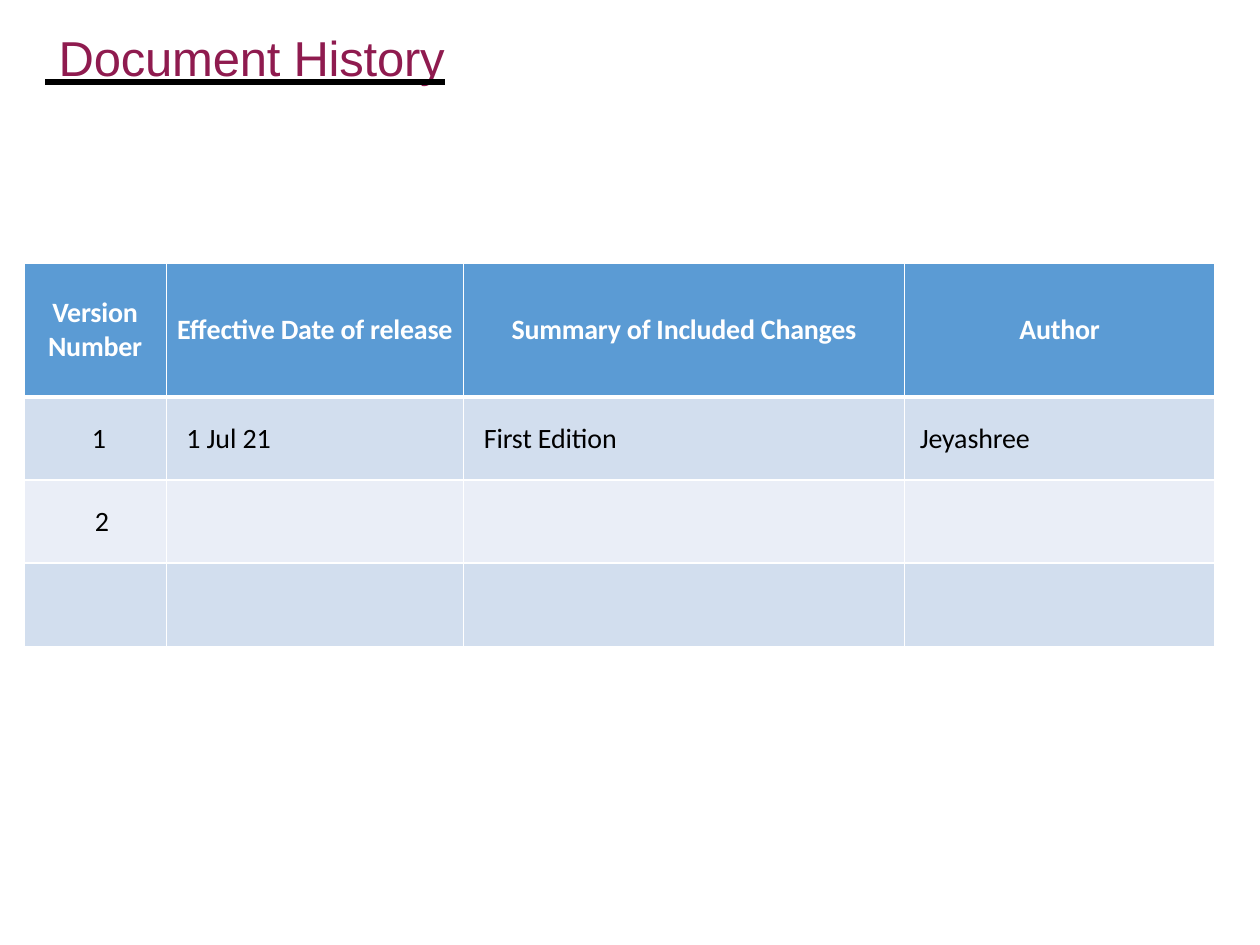
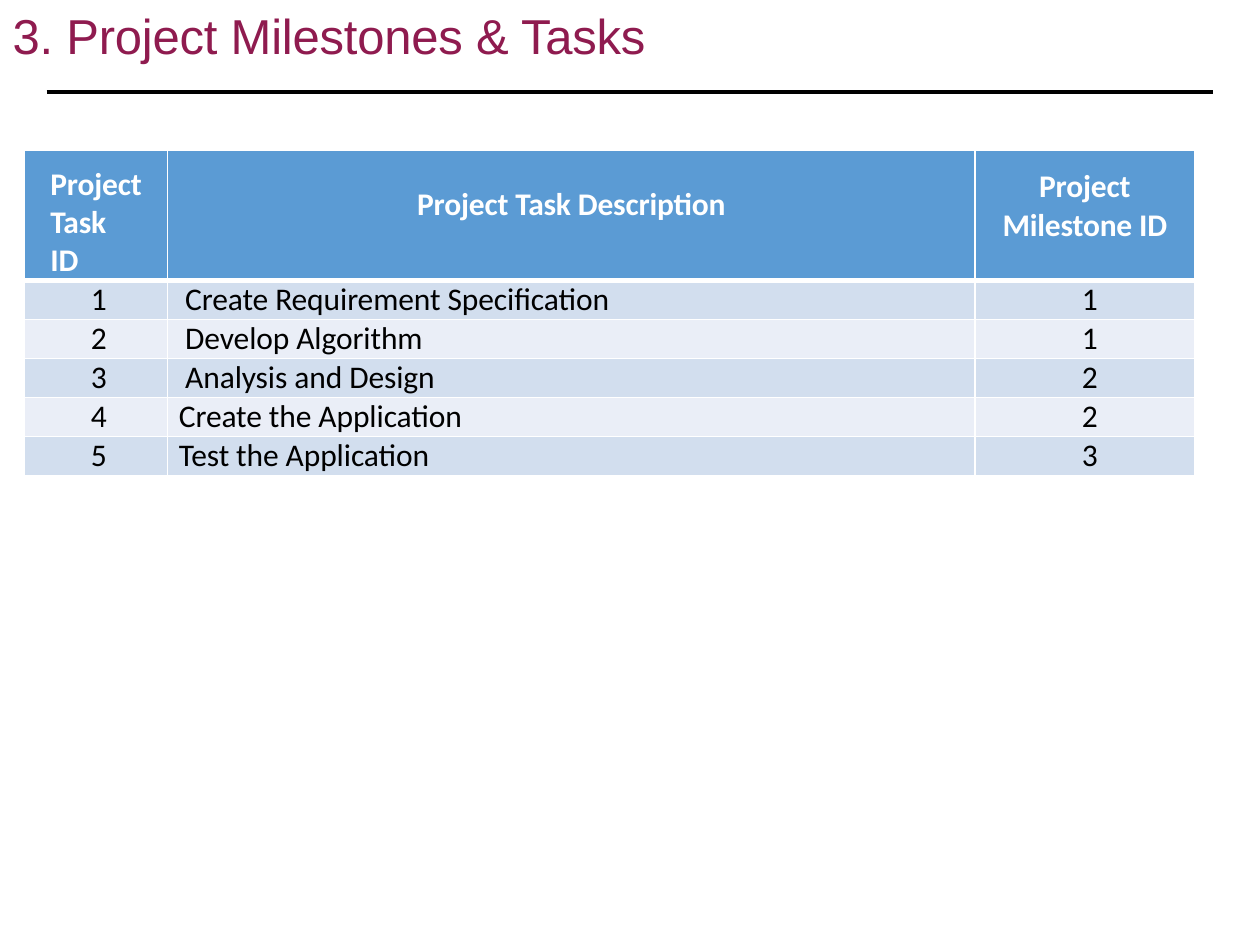
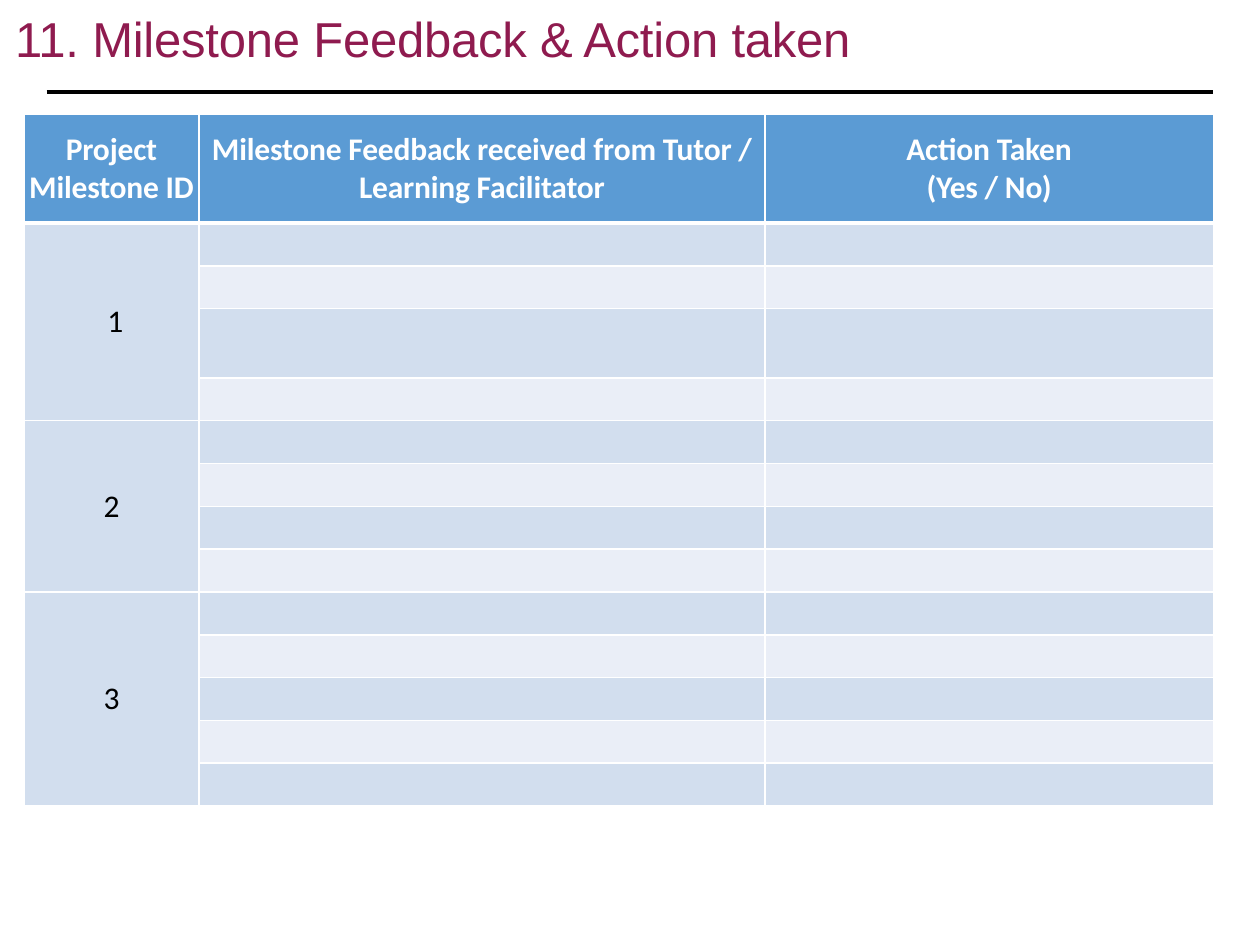
from dataclasses import dataclass

from lxml import etree
from pptx import Presentation
from pptx.dml.color import RGBColor
from pptx.enum.shapes import MSO_CONNECTOR
from pptx.enum.text import MSO_ANCHOR, MSO_AUTO_SIZE, MSO_UNDERLINE, PP_ALIGN
from pptx.oxml.ns import qn
from pptx.util import Inches, Pt

STRAIGHT = MSO_CONNECTOR.STRAIGHT
TOP, MIDDLE = MSO_ANCHOR.TOP, MSO_ANCHOR.MIDDLE
LEFT, CENTER = PP_ALIGN.LEFT, PP_ALIGN.CENTER
HEAVY = MSO_UNDERLINE.HEAVY_LINE
NO_AUTOFIT = MSO_AUTO_SIZE.NONE
TITLE_ONLY = 5


@dataclass(frozen=True)
class Theme:
    title_font: str = "Arial"
    table_font: str = "Calibri"
    title: str = "8F1B4F"
    ink: str = "000000"
    white: str = "FFFFFF"
    header: str = "5B9BD4"
    bands: tuple = ("D2DEEE", "EAEEF7")
    title_size: int = 28
    history_size: int = 16
    table_size: int = 18
    border: int = 1
    header_border: int = 3
    rule: int = 2


THEME = Theme()
TABLE_LEFT = 0.19


def add_solid_fill(parent, color):
    fill = etree.SubElement(parent, qn("a:solidFill"))
    etree.SubElement(fill, qn("a:srgbClr")).set("val", color)


def write_text(frame, text, *, size, color, font, bold=False, align=LEFT,
               spacing=0, underline=None):
    """Fill a frame; spacing is in points, underline is the colour of a heavy line."""
    frame.text = text
    for paragraph in frame.paragraphs:
        paragraph.alignment = align
        for run in paragraph.runs:
            run.font.size = Pt(size)
            run.font.bold = bold
            run.font.color.rgb = RGBColor.from_string(color)
            run.font.name = font
            properties = run._r.get_or_add_rPr()
            properties.set("spc", str(round(spacing * 100)))
            if underline:
                run.font.underline = HEAVY
                line_fill = etree.Element(qn("a:uFill"))
                add_solid_fill(line_fill, underline)
                properties.find(qn("a:solidFill")).addnext(line_fill)


def add_titled_slide(deck, text, left, top, width, underline=None):
    slide = deck.slides.add_slide(deck.slide_layouts[TITLE_ONLY])
    title = slide.shapes.title
    title.left, title.top = Inches(left), Inches(top)
    title.width, title.height = Inches(width), Inches(0.49)
    frame = title.text_frame
    frame.auto_size = NO_AUTOFIT
    frame.vertical_anchor = TOP
    frame.margin_left = frame.margin_top = Inches(0.01)
    frame.margin_right = frame.margin_bottom = 0
    write_text(frame, text, size=THEME.title_size, color=THEME.title,
               font=THEME.title_font, spacing=-0.1, underline=underline)
    return slide


def add_title_rule(slide):
    y = Inches(0.73)
    rule = slide.shapes.add_connector(STRAIGHT, Inches(0.37), y, Inches(9.63), y)
    rule.line.color.rgb = RGBColor.from_string(THEME.ink)
    rule.line.width = Pt(THEME.rule)
    etree.SubElement(rule._element.spPr, qn("a:effectLst"))


def set_borders(cell, row):
    """Draw white borders, thicker between the header and the first body row."""
    widths = {
        "L": THEME.border,
        "R": THEME.border,
        "T": THEME.header_border if row == 1 else THEME.border,
        "B": THEME.header_border if row == 0 else THEME.border,
    }
    properties = cell._tc.get_or_add_tcPr()
    for position, (side, width) in enumerate(widths.items()):
        border = etree.Element(qn(f"a:ln{side}"))
        border.set("w", str(Pt(width)))
        add_solid_fill(border, THEME.white)
        properties.insert(position, border)


def add_grid(slide, top, columns, rows):
    """Add a banded table of the given column widths and row heights."""
    table = slide.shapes.add_table(
        len(rows), len(columns), Inches(TABLE_LEFT), Inches(top),
        Inches(sum(columns)), Inches(sum(rows))).table
    table.first_row = table.horz_banding = False
    for column, width in zip(table.columns, columns):
        column.width = Inches(width)
    for index, (row, height) in enumerate(zip(table.rows, rows)):
        row.height = Inches(height)
        color = THEME.bands[(index - 1) % 2] if index else THEME.header
        for cell in row.cells:
            cell.margin_left = cell.margin_right = 0
            cell.margin_top = cell.margin_bottom = 0
            cell.vertical_anchor = MIDDLE
            cell.fill.solid()
            cell.fill.fore_color.rgb = RGBColor.from_string(color)
            set_borders(cell, index)
    return table


def fill_header(table, labels, size=THEME.table_size):
    for cell, label in zip(table.rows[0].cells, labels):
        write_text(cell.text_frame, label, size=size, color=THEME.white,
                   font=THEME.table_font, bold=True, align=CENTER, spacing=-0.1)


def fill_cell(cell, text, indent=0, align=LEFT, size=THEME.table_size):
    cell.margin_left = Inches(indent)
    write_text(cell.text_frame, text, size=size, color=THEME.ink,
               font=THEME.table_font, align=align, spacing=-0.05)


def add_history_slide(deck):
    slide = add_titled_slide(deck, " Document History", 0.35, 0.21, 9.29,
                             underline=THEME.ink)
    table = add_grid(slide, 2.09, [1.13, 2.36, 3.5, 2.46], [1.06] + [0.66] * 3)
    size = THEME.history_size
    fill_header(table, ["Version\vNumber", "Effective Date of release",
                        "Summary of Included Changes", "Author"], size)
    fill_cell(table.cell(1, 0), "1", 0.06, CENTER, size)
    fill_cell(table.cell(2, 0), "2", 0.11, CENTER, size)
    first_version = [("1 Jul 21", 0.16), ("First Edition", 0.16), ("Jeyashree", 0.12)]
    for column, (text, indent) in enumerate(first_version, start=1):
        fill_cell(table.cell(1, column), text, indent, size=size)


def add_tasks_slide(deck):
    tasks = [
        ("Create Requirement Specification", 0.14, 1),
        ("Develop Algorithm", 0.14, 1),
        ("Analysis and Design", 0.14, 2),
        ("Create the Application", 0.09, 2),
        ("Test the Application", 0.09, 3),
    ]
    slide = add_titled_slide(deck, "3. Project Milestones & Tasks", 0.09, 0.03, 5.3)
    add_title_rule(slide)
    table = add_grid(slide, 1.19, [1.14, 6.41, 1.74], [1.03] + [0.31] * len(tasks))
    fill_header(table, ["Project\vTask\vID", "Project Task Description",
                        "Project\vMilestone ID"])
    for cell, margin in zip(table.rows[0].cells, [0.12, 0.28, 0.14]):
        cell.vertical_anchor = TOP
        cell.margin_top = Inches(margin)
    task_header = table.cell(0, 0)
    task_header.margin_left = Inches(0.21)
    task_header.text_frame.paragraphs[0].alignment = LEFT
    for number, (task, indent, milestone) in enumerate(tasks, start=1):
        fill_cell(table.cell(number, 0), str(number), 0.05, CENTER)
        fill_cell(table.cell(number, 1), task, indent)
        fill_cell(table.cell(number, 2), str(milestone), 0.08, CENTER)


def add_feedback_slide(deck):
    slide = add_titled_slide(deck, "11. Milestone Feedback & Action taken",
                             0.11, 0.06, 6.9)
    add_title_rule(slide)
    rows = [0.86] + [0.34] * 2 + [0.55] + [0.34] * 10
    table = add_grid(slide, 0.91, [1.39, 4.49, 3.56], rows)
    fill_header(table, ["Project\vMilestone ID",
                        "Milestone Feedback received from Tutor /\vLearning Facilitator",
                        "Action Taken\v(Yes / No)"])
    first_row = 1
    milestones = [(4, 0.06), (4, 0), (5, 0)]
    for number, (row_count, indent) in enumerate(milestones, start=1):
        milestone = table.cell(first_row, 0)
        milestone.merge(table.cell(first_row + row_count - 1, 0))
        fill_cell(milestone, str(number), indent, CENTER)
        first_row += row_count


def main():
    deck = Presentation()
    deck.slide_width, deck.slide_height = Inches(10), Inches(7.5)
    add_history_slide(deck)
    add_tasks_slide(deck)
    add_feedback_slide(deck)
    deck.save("out.pptx")


if __name__ == "__main__":
    main()
